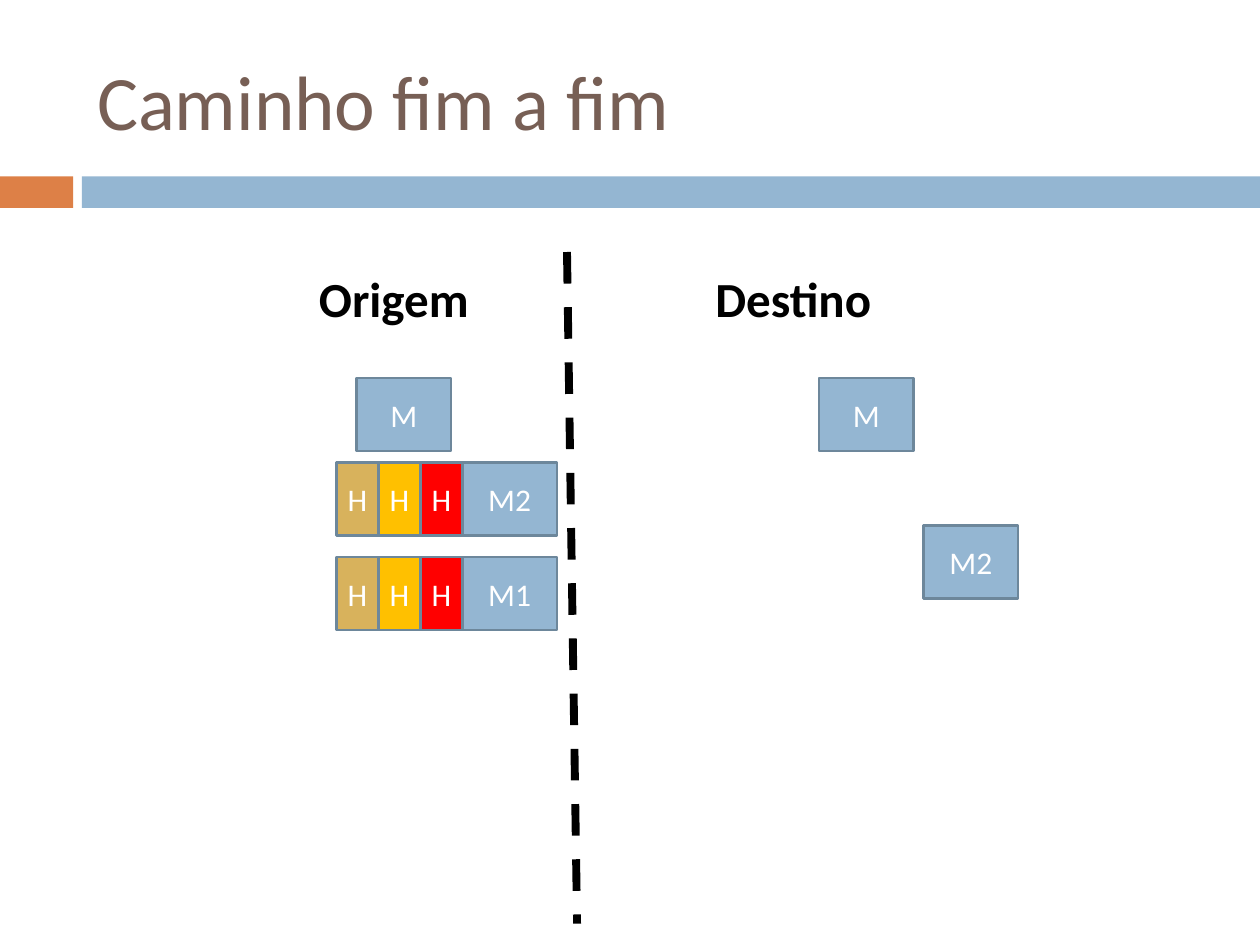
import pptx
import pptx.util
import pptx.dml.color
import pptx.enum.dml
import pptx.enum.shapes
import pptx.enum.text
from lxml import etree

Inches = pptx.util.Inches
Pt = pptx.util.Pt
ALIGN = pptx.enum.text.PP_ALIGN
ANCHOR = pptx.enum.text.MSO_ANCHOR


def rgb(value):
    return pptx.dml.color.RGBColor.from_string(value)


def write(tf, text, size=18, color="FFFFFF", bold=False, align=ALIGN.CENTER, anchor=ANCHOR.MIDDLE):
    tf.word_wrap = True
    tf.vertical_anchor = anchor
    p = tf.paragraphs[0]
    p.alignment = align
    r = p.add_run()
    r.text = text
    r.font.name = "Calibri"
    r.font.size = Pt(size)
    r.font.bold = bold
    r.font.color.rgb = rgb(color)


class Deck:
    blue = "94B6D2"
    orange = "DD8047"
    outline = "6D879B"
    headers = ("D8B25C", "FFC000", "FF0000")
    header_w = 1 / 3
    box_w = 0.75
    box_h = 0.58

    def __init__(self, prs):
        self.s = prs.slides.add_slide(prs.slide_layouts[5])

    def place(self, sp, x, y, w, h):
        sp.left, sp.top, sp.width, sp.height = map(Inches, (x, y, w, h))

    def title(self, text):
        sp = self.s.shapes.title
        self.place(sp, 0.67, 0.25, 8.92, 1.08)
        sp.text_frame.auto_size = pptx.enum.text.MSO_AUTO_SIZE.NONE
        write(sp.text_frame, text, size=44, color="775F55", align=ALIGN.LEFT)

    def rect(self, x, y, w, h, fill):
        sp = self.s.shapes.add_shape(
            pptx.enum.shapes.MSO_SHAPE.RECTANGLE, Inches(x), Inches(y), Inches(w), Inches(h))
        sp.shadow.inherit = False
        sp.fill.solid()
        sp.fill.fore_color.rgb = rgb(fill)
        sp.line.fill.background()
        return sp

    def box(self, text, x, y, w=box_w, fill=blue):
        sp = self.rect(x, y, w, self.box_h, fill)
        sp.line.color.rgb = rgb(self.outline)
        sp.line.width = Pt(1.5)
        tf = sp.text_frame
        tf.margin_left = tf.margin_right = 0
        write(tf, text)

    def packet(self, text, x, y):
        self.box(text, x + len(self.headers) * self.header_w, y)
        for i, fill in enumerate(self.headers):
            self.box("H", x + i * self.header_w, y, self.header_w, fill)

    def heading(self, text, x, y):
        sp = self.s.shapes.add_textbox(Inches(x), Inches(y), Inches(2.75), Inches(0.57))
        write(sp.text_frame, text, size=28, color="000000", bold=True, anchor=ANCHOR.TOP)

    def divider(self, x1, y1, x2, y2):
        line = self.s.shapes.add_connector(
            pptx.enum.shapes.MSO_CONNECTOR.STRAIGHT, Inches(x1), Inches(y1), Inches(x2), Inches(y2))
        line.line.color.rgb = rgb("000000")
        line.line.width = Pt(4.5)
        line.line.dash_style = pptx.enum.dml.MSO_LINE.DASH
        etree.SubElement(line._element.spPr, pptx.oxml.ns.qn("a:effectLst"))


def main():
    prs = pptx.Presentation()
    prs.slide_width = Inches(10)
    prs.slide_height = Inches(7.5)
    deck = Deck(prs)
    deck.rect(0, 1.4, 0.58, 0.25, deck.orange)
    deck.rect(0.65, 1.4, 9.35, 0.25, deck.blue)
    deck.title("Caminho fim a fim")

    deck.heading("Origem", 1.75, 2.08)
    deck.box("M", 2.83, 3)
    deck.packet("M2", 2.67, 3.67)
    deck.packet("M1", 2.67, 4.42)

    deck.heading("Destino", 4.92, 2.08)
    deck.box("M", 6.5, 3)
    deck.box("M2", 7.33, 4.17)

    deck.divider(4.5, 2, 4.58, 7.33)
    prs.save("out.pptx")


if __name__ == "__main__":
    main()
